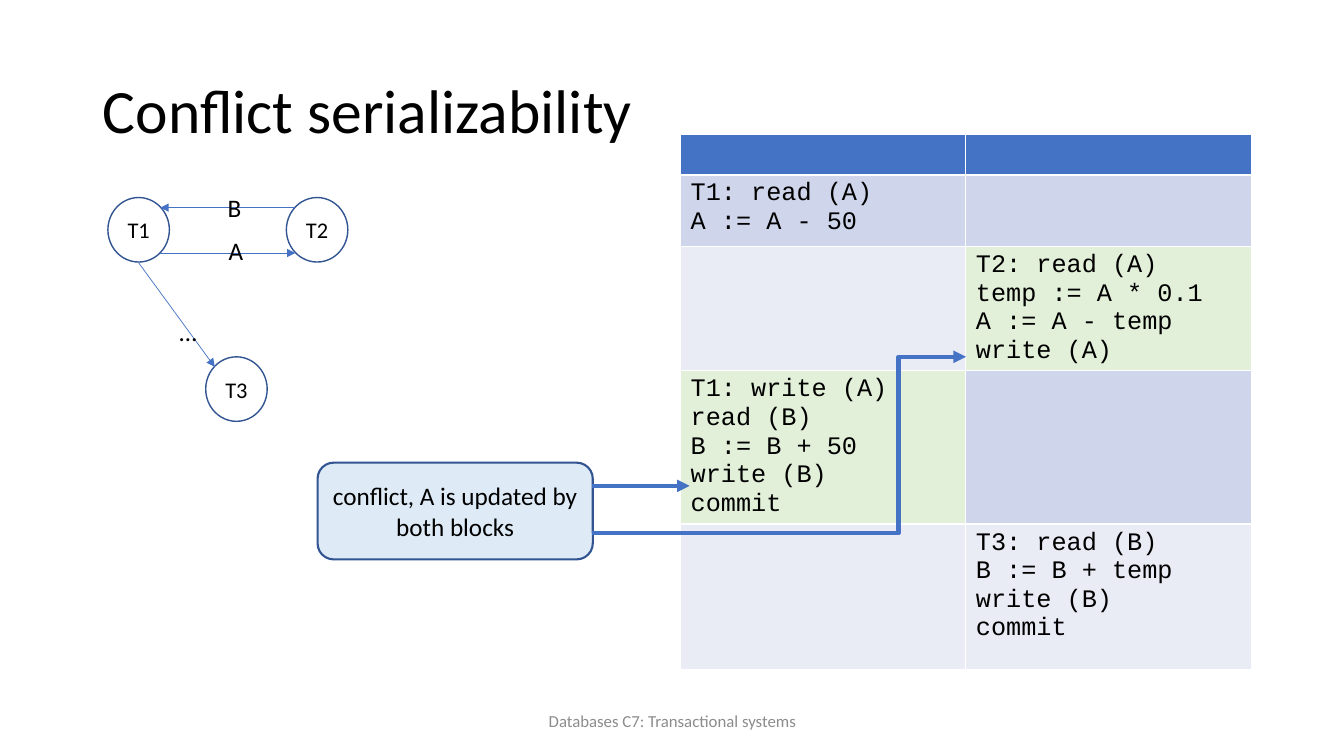
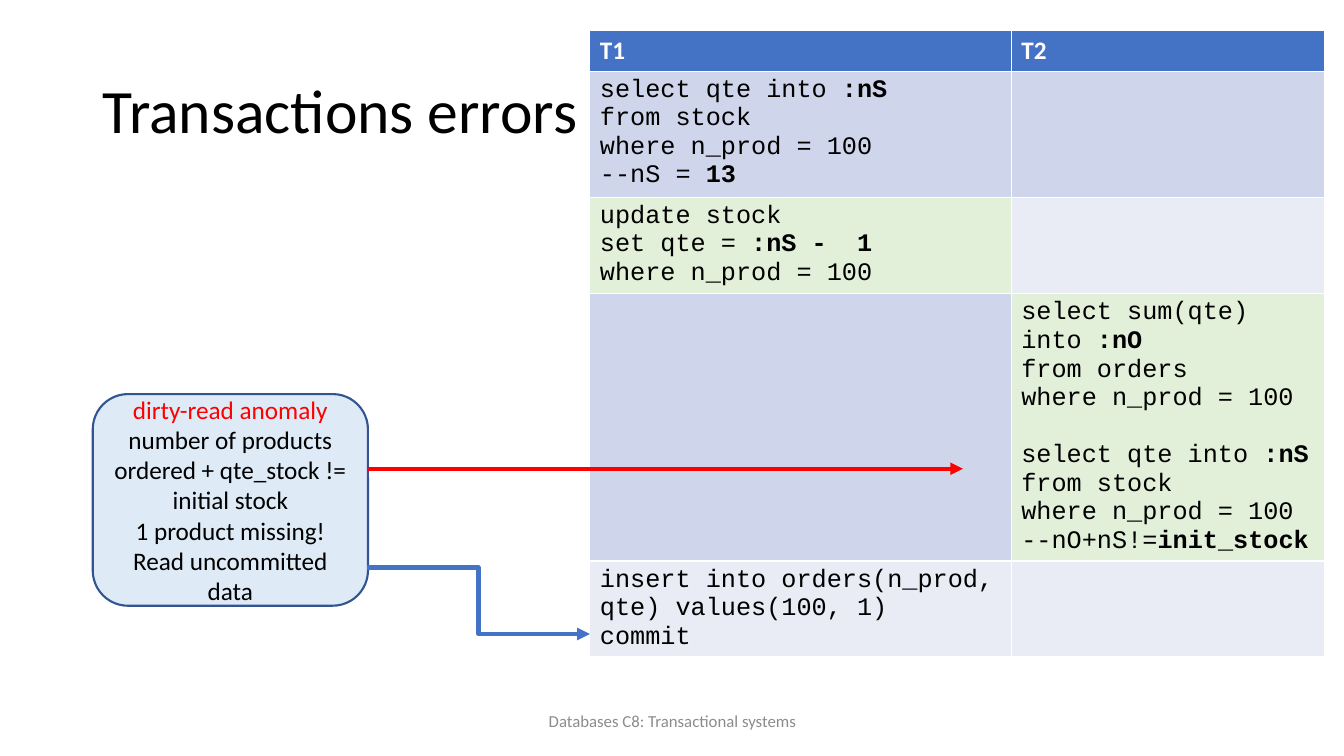
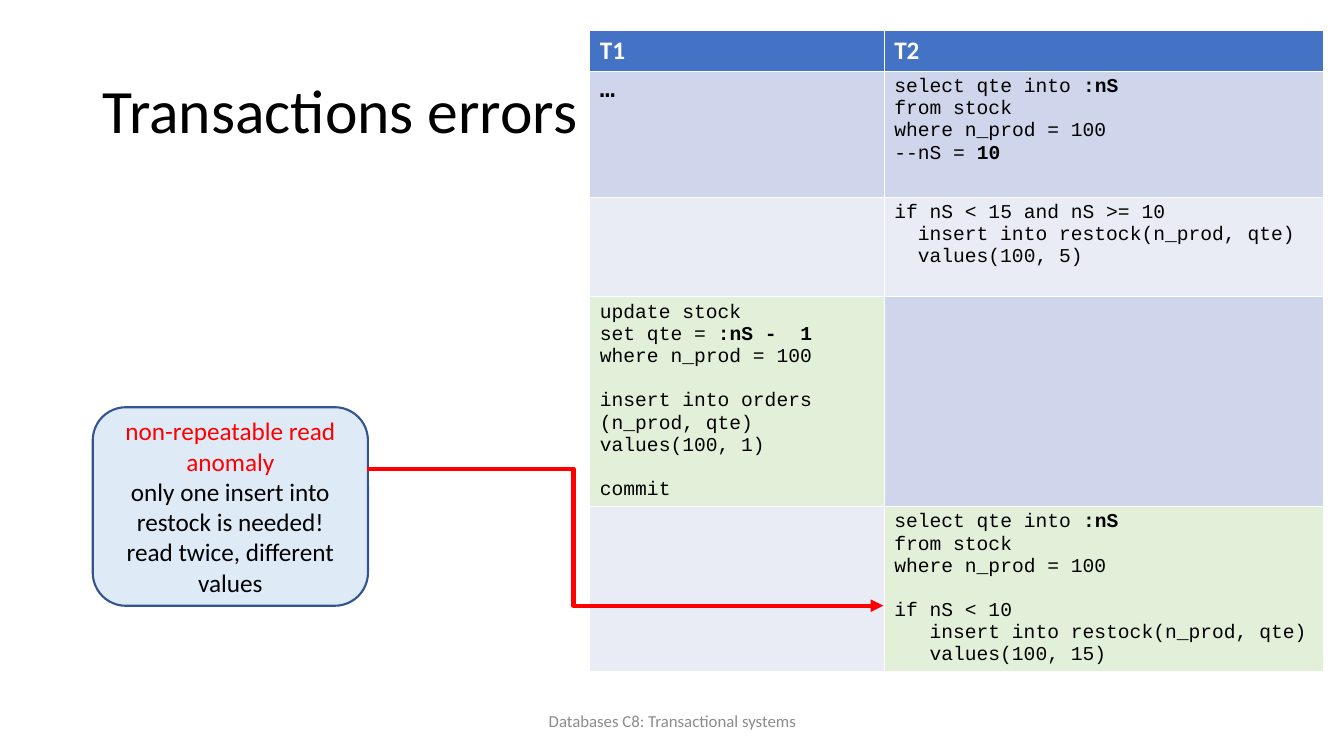
import pptx
import pptx.chart.data
import pptx.util
import pptx.dml.color
import pptx.enum.shapes
import pptx.enum.text
import pptx.oxml
import pptx.oxml.ns

Inches, Pt = pptx.util.Inches, pptx.util.Pt
RGB = pptx.dml.color.RGBColor.from_string
SHAPE = pptx.enum.shapes.MSO_SHAPE
LINE = pptx.enum.shapes.MSO_CONNECTOR
ALIGN = pptx.enum.text.PP_ALIGN
MIDDLE = pptx.enum.text.MSO_ANCHOR.MIDDLE
qn = pptx.oxml.ns.qn

COLORS = {"text": "000000", "white": "FFFFFF", "header": "4472C4", "band_odd": "CFD5EA",
          "band_even": "E9EBF5", "highlight": "E2F0D9", "note": "DEEBF7",
          "outline": "325491", "arrow": "4472C4", "alert": "FF0000", "footer": "8C8C8C"}
SANS, MONO = "Calibri", "Courier New"


def write(tf, text, size, font=SANS, color="text", align=ALIGN.LEFT):
    """One paragraph a line; | toggles bold, an empty line becomes space before,
    and leading blanks become an indent measured in monospaced characters."""
    gap = False
    first = True
    for line in text.split("\n"):
        if not line and not first:
            gap = True
            continue
        p = tf.paragraphs[0] if first else tf.add_paragraph()
        first = False
        p.alignment = align
        if gap:
            p.space_before = Pt(size * 1.13)
            gap = False
        indent = len(line) - len(line.lstrip())
        if indent:
            p._p.get_or_add_pPr().set("marL", str(Pt(indent * size * 0.6)))
        for i, part in enumerate(line.lstrip().split("|")):
            if part:
                r = p.add_run()
                r.text = part
                r.font.size, r.font.name = Pt(size), font
                r.font.bold = i % 2 == 1
                r.font.color.rgb = RGB(COLORS[color])


def add_arrow(s, start, end, width, color="arrow", bend=None):
    """Straight arrow, or an elbow turning at the fraction bend of its width."""
    kind = LINE.STRAIGHT if bend is None else LINE.ELBOW
    c = s.shapes.add_connector(kind, *[Inches(v) for v in start + end])
    c.line.width = Pt(width)
    c.line.color.rgb = RGB(COLORS[color])
    ln = c.line._get_or_add_ln()
    ln.append(pptx.oxml.parse_xml(
        '<a:tailEnd xmlns:a="http://schemas.openxmlformats.org/drawingml/2006/main" type="triangle"/>'))
    sp_pr = c._element.spPr
    sp_pr.append(sp_pr.makeelement(qn("a:effectLst"), {}))
    if bend is not None:
        guides = sp_pr.find(qn("a:prstGeom")).get_or_add_avLst()
        guides.append(guides.makeelement(
            qn("a:gd"), {"name": "adj1", "fmla": f"val {round(bend * 100000)}"}))


# Slide contents
slides = [
    {"title": "Conflict serializability", "chapter": "C7", "size": 18,
     "at": (6.75, 1.33), "cols": (2.83, 2.83), "rows": (0.4, 0.71, 1.23, 1.52, 1.44),
     "cells": [("", ""),
               ("T1: read (A)\nA := A - 50", ""),
               ("", "T2: read (A)\ntemp := A * 0.1\nA := A - temp\nwrite (A)"),
               ("T1: write (A)\nread (B)\nB := B + 50\nwrite (B)\ncommit", ""),
               ("", "T3: read (B)\nB := B + temp\nwrite (B)\ncommit")],
     "highlights": [(2, 1), (3, 0)],
     "note": (3.15, 4.59, 2.73, 0.96), "alert": False,
     "note_text": "conflict, A is updated by both blocks",
     "arrows": [((5.87, 4.82), (6.84, 4.82), "arrow", None),
                ((5.87, 5.29), (9.58, 3.54), "arrow", 0.82)]},
    {"title": "Transactions errors", "chapter": "C8", "size": 18,
     "at": (5.85, 0.3), "cols": (4.18, 3.11), "rows": (0.4, 1.25, 0.96, 2.65, 0.95),
     "cells": [("|T1", "|T2"),
               ("select qte into |:nS\nfrom stock\nwhere n_prod = 100\n--nS = |13", ""),
               ("update stock\nset qte = |:nS -  1\nwhere n_prod = 100", ""),
               ("", "select sum(qte)\ninto |:nO\nfrom orders\nwhere n_prod = 100\n\n"
                    "select qte into |:nS\nfrom stock\nwhere n_prod = 100\n--nO+nS!=|init_stock"),
               ("insert into orders(n_prod, qte) values(100, 1)\ncommit", "")],
     "highlights": [(2, 0), (3, 1)],
     "note": (0.92, 3.91, 2.73, 2.1), "alert": True,
     "note_text": "dirty-read anomaly\nnumber of products ordered + qte_stock != initial stock\n"
                  "1 product missing!\nRead uncommitted data",
     "arrows": [((3.64, 4.65), (9.55, 4.65), "alert", None),
                ((3.64, 5.63), (5.85, 6.29), "arrow", 0.5)]},
    {"title": "Transactions errors", "chapter": "C8", "size": 14,
     "at": (5.85, 0.3), "cols": (2.92, 4.36), "rows": (0.4, 1.25, 0.99, 2.07, 1.64),
     "cells": [("|T1", "|T2"),
               ("|…", "select qte into |:nS\nfrom stock\nwhere n_prod = 100\n--nS = |10"),
               ("", "if nS < 15 and nS >= 10\n  insert into restock(n_prod, qte)\n  values(100, 5)"),
               ("update stock\nset qte = |:nS -  1\nwhere n_prod = 100\n\n"
                "insert into orders\n(n_prod, qte)\nvalues(100, 1)\n\ncommit", ""),
               ("", "select qte into |:nS\nfrom stock\nwhere n_prod = 100\n\n"
                    "if nS < 10\n   insert into restock(n_prod, qte)\n   values(100, 15)")],
     "highlights": [(3, 0), (4, 1)],
     "note": (0.92, 4.04, 2.73, 1.97), "alert": True,
     "note_text": "non-repeatable read anomaly\nonly one insert into restock is needed!\n"
                  "read twice, different values",
     "arrows": [((3.64, 4.65), (8.76, 6.01), "alert", 0.4)]},
]

prs = pptx.Presentation()
prs.slide_width, prs.slide_height = Inches(13.33), Inches(7.5)

for data in slides:
    s = prs.slides.add_slide(prs.slide_layouts[5])

    # Title
    title = s.shapes.title
    title.left, title.top, title.width, title.height = [Inches(v) for v in (0.92, 0.4, 11.5, 1.45)]
    title.text_frame.vertical_anchor = MIDDLE
    write(title.text_frame, data["title"], 44)
    title.text_frame.paragraphs[0].line_spacing = 0.9

    # Schedule table
    x, y = data["at"]
    table = s.shapes.add_table(len(data["rows"]), len(data["cols"]), Inches(x), Inches(y),
                               Inches(sum(data["cols"])), Inches(sum(data["rows"]))).table
    for col, width in zip(table.columns, data["cols"]):
        col.width = Inches(width)
    for row, height in zip(table.rows, data["rows"]):
        row.height = Inches(height)
    for i, texts in enumerate(data["cells"]):
        for j, text in enumerate(texts):
            cell = table.cell(i, j)
            fill = "header" if i == 0 else "band_odd" if i % 2 else "band_even"
            if (i, j) in data["highlights"]:
                fill = "highlight"
            cell.fill.solid()
            cell.fill.fore_color.rgb = RGB(COLORS[fill])
            if i == 0:
                write(cell.text_frame, text, 18, SANS, "white")
            else:
                write(cell.text_frame, text, 18 if text == "|…" else data["size"], MONO)

    # Footer
    footer = s.shapes.add_textbox(Inches(4.42), Inches(6.95), Inches(4.5), Inches(0.4))
    footer.text_frame.word_wrap = True
    footer.text_frame.vertical_anchor = MIDDLE
    write(footer.text_frame, f"Databases {data['chapter']}: Transactional systems", 12,
          color="footer", align=ALIGN.CENTER)

    # Note and its arrows
    note = s.shapes.add_shape(SHAPE.ROUNDED_RECTANGLE, *[Inches(v) for v in data["note"]])
    note.shadow.inherit = False
    note.fill.solid()
    note.fill.fore_color.rgb = RGB(COLORS["note"])
    note.line.color.rgb = RGB(COLORS["outline"])
    note.line.width = Pt(1.5)
    note.text_frame.vertical_anchor = MIDDLE
    write(note.text_frame, data["note_text"], 18, align=ALIGN.CENTER)
    if data["alert"]:
        note.text_frame.paragraphs[0].runs[0].font.color.rgb = RGB(COLORS["alert"])
    for start, end, color, bend in data["arrows"]:
        add_arrow(s, start, end, 3, color, bend)

# Precedence graph on the first slide
s = prs.slides[0]
for name, x, y in [("T1", 1.07, 1.96), ("T2", 2.84, 1.96), ("T3", 2.04, 3.54)]:
    node = s.shapes.add_shape(SHAPE.OVAL, Inches(x), Inches(y), Inches(0.61), Inches(0.64))
    node.shadow.inherit = False
    node.fill.background()
    node.line.color.rgb = RGB(COLORS["outline"])
    node.line.width = Pt(1)
    node.text_frame.word_wrap = False
    node.text_frame.vertical_anchor = MIDDLE
    write(node.text_frame, name, 16, align=ALIGN.CENTER)
for start, end in [((2.93, 2.06), (1.59, 2.06)), ((1.37, 2.6), (2.13, 3.64)),
                   ((1.59, 2.51), (2.93, 2.51))]:
    add_arrow(s, start, end, 0.5)
for label, x, y, width in [("B", 2.16, 1.86, 0.34), ("A", 2.17, 2.29, 0.35), ("…", 1.68, 3.09, 0.38)]:
    tb = s.shapes.add_textbox(Inches(x), Inches(y), Inches(width), Inches(0.4))
    tb.text_frame.word_wrap = False
    write(tb.text_frame, label, 18)

prs.save("out.pptx")
